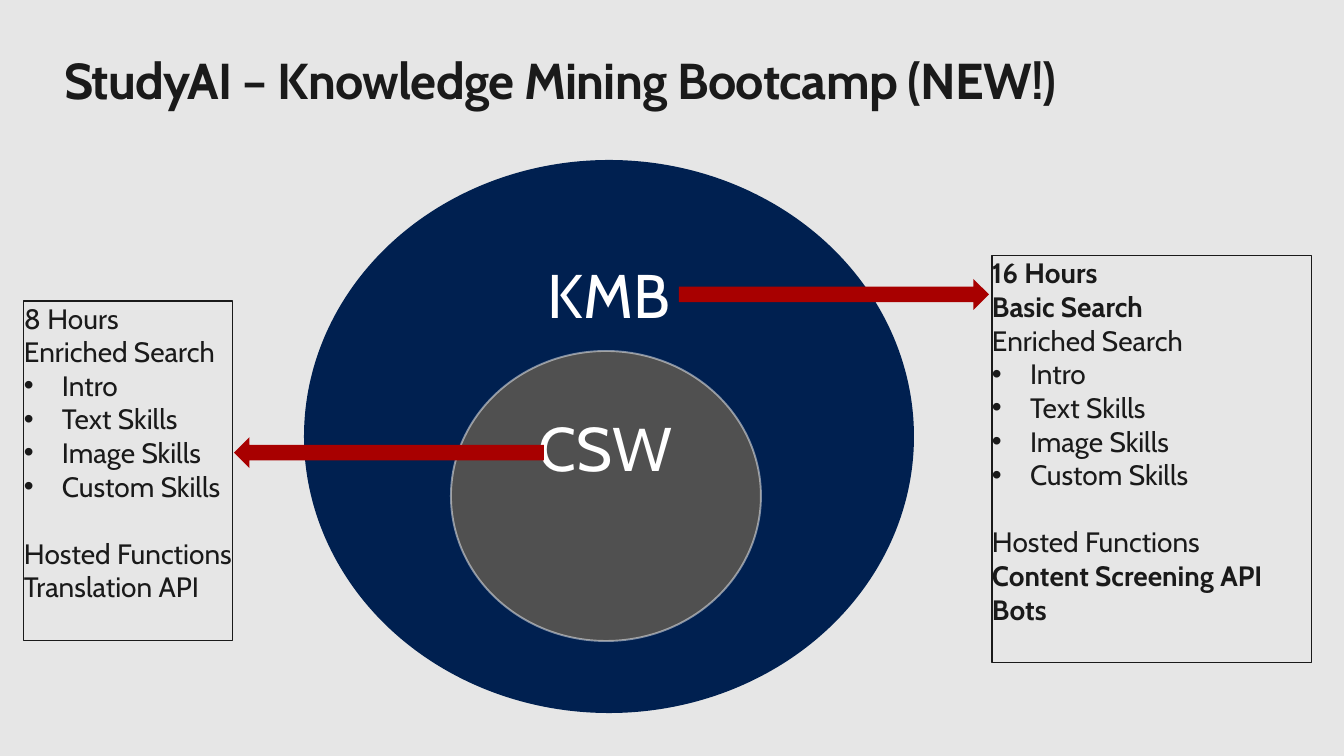
"""Build the Knowledge Mining Bootcamp slide with its nested course circles."""
import pptx
import pptx.util
import pptx.dml.color
import pptx.enum.shapes
import pptx.enum.text
import pptx.oxml
import pptx.oxml.ns

RGBColor = pptx.dml.color.RGBColor
Shape = pptx.enum.shapes.MSO_SHAPE
Align = pptx.enum.text.PP_ALIGN
Pt = pptx.util.Pt

INK = RGBColor(0x1A, 0x1A, 0x1A)
PAPER = RGBColor(0xE6, 0xE6, 0xE6)
NAVY = RGBColor(0x00, 0x20, 0x50)
GREY = RGBColor(0x50, 0x50, 0x50)
RIM = RGBColor(0xF9, 0xF9, 0xF9)
RED = RGBColor(0xA8, 0x00, 0x00)
WHITE = RGBColor(0xFF, 0xFF, 0xFF)
FONT = "Cabin"
SCALE = 914400 / 100.8
INDENT = 38

TITLE = "StudyAI – Knowledge Mining Bootcamp (NEW!)"
TITLE_AREA = (64, 49, 1190, 62)
CIRCLES = [
    ("KMB", (304, 160, 610, 553), NAVY, None),
    ("CSW", (451, 351, 310, 290), GREY, RIM),
]
SKILLS = [(name, "bullet") for name in
          ("Intro", "Text Skills", "Image Skills", "Custom Skills")]
COURSES = [
    ((24, 301, 209, 340),
     [("8 Hours", ""), ("Enriched Search", "")] + SKILLS
     + [("Hosted Functions", "gap"), ("Translation API", "")]),
    ((992, 256, 320, 407),
     [("16 Hours", "bold"), ("Basic Search", "bold"), ("Enriched Search", "")] + SKILLS
     + [("Hosted Functions", "gap"), ("Content Screening API", "bold"), ("Bots", "bold")]),
]
ARROWS = [((679, 279, 310, 31), 0), ((234, 437, 310, 31), 180)]


def px(length):
    return round(length * SCALE)


def style(para, size, color, bold=False):
    para.font.name = FONT
    para.font.size = Pt(size)
    para.font.color.rgb = color
    para.font.bold = bold


def prepare(frame, across=0, down=0):
    frame.word_wrap = True
    frame.auto_size = pptx.enum.text.MSO_AUTO_SIZE.NONE
    frame.vertical_anchor = pptx.enum.text.MSO_ANCHOR.TOP
    frame.margin_left = frame.margin_right = px(across)
    frame.margin_top = frame.margin_bottom = px(down)


def add_shape(page, kind, area, fill=None, line=None, width=0.75):
    shape = page.shapes.add_shape(kind, *map(px, area))
    shape.shadow.inherit = False
    if fill is None:
        shape.fill.background()
    else:
        shape.fill.solid()
        shape.fill.fore_color.rgb = fill
    if line is None:
        shape.line.fill.background()
    else:
        shape.line.color.rgb = line
        shape.line.width = Pt(width)
    return shape


def add_bullet(para):
    properties = para._p.get_or_add_pPr()
    properties.set("marL", str(px(INDENT)))
    properties.set("indent", str(-px(INDENT)))
    namespace = pptx.oxml.ns.nsdecls("a")
    for tag in ('buFont typeface="Arial"', 'buChar char="•"'):
        properties.append(pptx.oxml.parse_xml(f"<a:{tag} {namespace}/>"))


def add_title(page):
    title = page.shapes.title
    title.left, title.top, title.width, title.height = map(px, TITLE_AREA)
    prepare(title.text_frame)
    title.text_frame.text = TITLE
    para = title.text_frame.paragraphs[0]
    para.alignment = Align.LEFT
    style(para, 36, INK, True)
    para.runs[0]._r.get_or_add_rPr().set("spc", "-50")


def add_circle(page, label, area, fill, rim):
    circle = add_shape(page, Shape.OVAL, area, fill, rim, 1.35)
    if rim is not None:
        color = circle.line._ln.find(".//" + pptx.oxml.ns.qn("a:srgbClr"))
        color.append(pptx.oxml.parse_xml(
            f'<a:alpha {pptx.oxml.ns.nsdecls("a")} val="50000"/>'))
    prepare(circle.text_frame, 20, 16)
    para = circle.text_frame.paragraphs[0]
    para.text = label
    para.alignment = Align.CENTER
    style(para, 44, WHITE)


def add_course(page, area, lines):
    box = add_shape(page, Shape.RECTANGLE, area, line=INK)
    frame = box.text_frame
    prepare(frame)
    for number, (text, role) in enumerate(lines):
        para = frame.add_paragraph() if number else frame.paragraphs[0]
        para.text = text
        para.alignment = Align.LEFT
        style(para, 20, INK, role == "bold")
        if role == "gap":
            para.space_before = Pt(24)
        if role == "bullet":
            add_bullet(para)


def main():
    deck = pptx.Presentation()
    deck.slide_width, deck.slide_height = px(1344), px(756)
    page = deck.slides.add_slide(deck.slide_layouts[5])
    page.background.fill.solid()
    page.background.fill.fore_color.rgb = PAPER
    add_title(page)
    for circle in CIRCLES:
        add_circle(page, *circle)
    for course in COURSES:
        add_course(page, *course)
    for area, turn in ARROWS:
        add_shape(page, Shape.RIGHT_ARROW, area, RED).rotation = turn
    deck.save("out.pptx")


if __name__ == "__main__":
    main()
